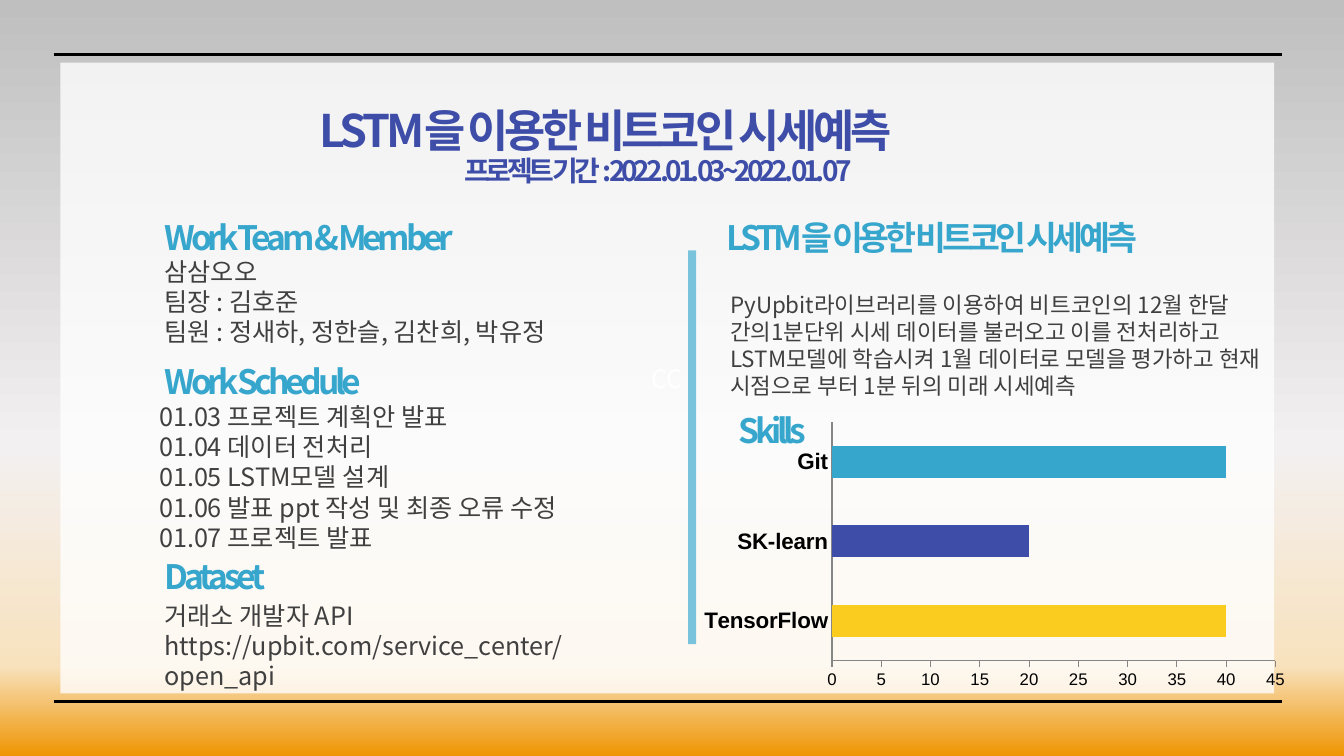
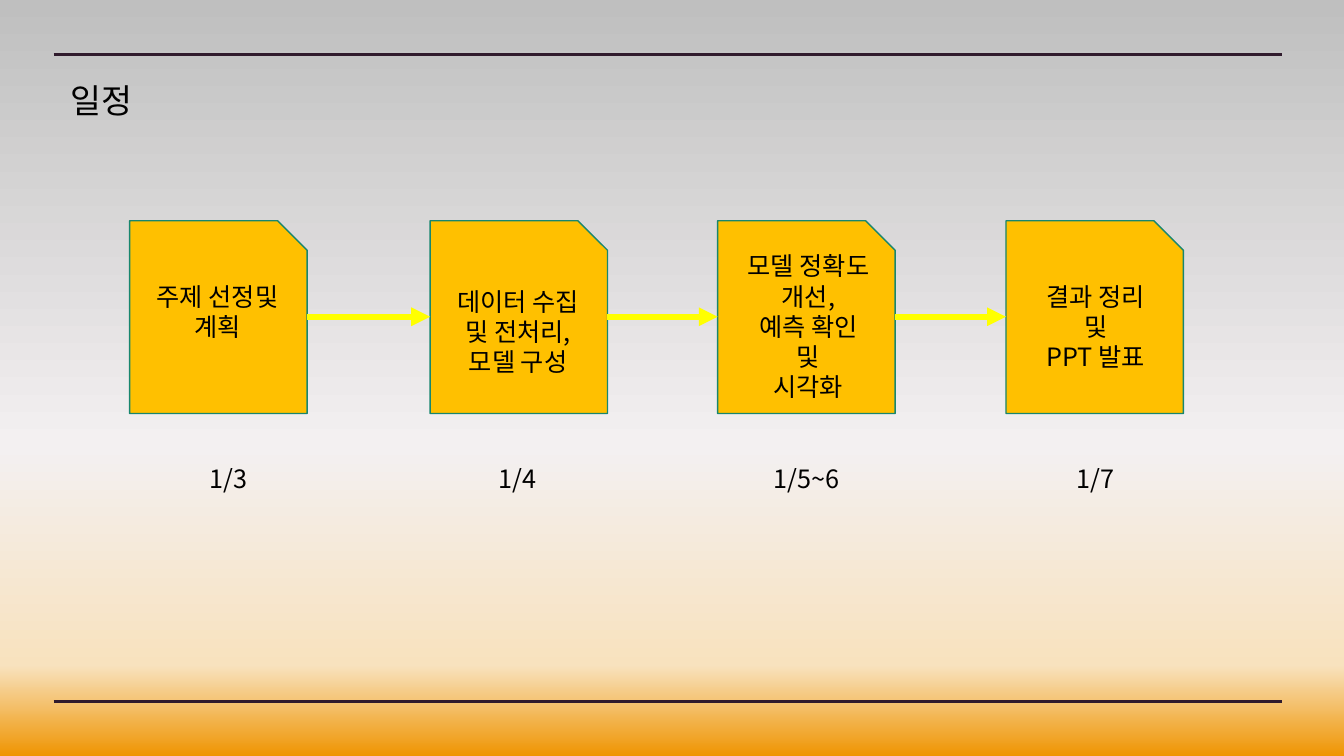
from lxml.etree import SubElement
from pptx import Presentation
from pptx.chart.data import CategoryChartData
from pptx.dml.color import RGBColor
from pptx.enum.chart import XL_CHART_TYPE as ChartType, XL_TICK_MARK as Tick
from pptx.enum.shapes import MSO_CONNECTOR as Connector, MSO_SHAPE as Shape
from pptx.enum.text import MSO_ANCHOR as Anchor, MSO_AUTO_SIZE as AutoSize, PP_ALIGN as Align
from pptx.oxml.ns import qn
from pptx.util import Inches, Pt

BLACK = RGBColor(0x00, 0x00, 0x00)
WHITE = RGBColor(0xFF, 0xFF, 0xFF)
PLUM = RGBColor(0x30, 0x1B, 0x2D)
GREY = RGBColor(0x40, 0x40, 0x40)
AXIS_GREY = RGBColor(0x86, 0x86, 0x86)
INDIGO = RGBColor(0x3D, 0x4D, 0xA8)
SKY = RGBColor(0x37, 0xA6, 0xCD)
PALE_SKY = RGBColor(0x79, 0xC3, 0xDD)
GOLD = RGBColor(0xF9, 0xCC, 0x1F)
AMBER = RGBColor(0xFF, 0xC0, 0x00)
YELLOW = RGBColor(0xFF, 0xFF, 0x00)
TEAL = RGBColor(0x18, 0x86, 0x6E)
BACKDROP = [(0, "BFBFBF"), (59, "F3F0F1"), (88, "F8E2BE"), (100, "EF9503")]

KOREAN = "Noto Sans CJK KR"
LINE_PITCH = 1.2
TRACKING = -300


class Designer:
    """Holds the style and the current page; lengths are percent of the slide."""

    def __init__(self):
        self.deck = Presentation()
        self.deck.slide_width = Inches(13.33)
        self.deck.slide_height = Inches(7.5)
        self.page = None
        self.paint_backdrop()

    def paint_backdrop(self):
        master = self.deck.slide_master
        fill = master.background.fill
        fill.gradient()
        fill.gradient_angle = 270
        stops = next(master.element.iter(qn("a:gsLst")))
        for stop in list(stops):
            stops.remove(stop)
        for position, color in BACKDROP:
            stop = SubElement(stops, qn("a:gs"), pos=str(position * 1000))
            SubElement(stop, qn("a:srgbClr"), val=color)

    def area(self, left, top, width, height):
        across, down = self.deck.slide_width / 100, self.deck.slide_height / 100
        return [round(size) for size in
                (left * across, top * down, width * across, height * down)]

    def add_page(self, rule_color):
        self.page = self.deck.slides.add_slide(self.deck.slide_layouts[5])
        for height in (7.2, 92.8):
            self.line(4, 95.4, height, rule_color, 2.25)

    # Text
    def fill_text(self, box, text, size, color, bold=False, align=Align.LEFT,
                  font=KOREAN):
        frame = box.text_frame
        frame.text = text
        frame.word_wrap = True
        frame.auto_size = AutoSize.NONE
        frame.vertical_anchor = Anchor.TOP
        for para in frame.paragraphs:
            para.alignment = align
            para.line_spacing = Pt(size * LINE_PITCH)
            for span in para.runs:
                span.font.size = Pt(size)
                span.font.bold = bold
                span.font.name = font
                span.font.color.rgb = color
        for props in box.element.iter(qn("a:rPr")):
            SubElement(props, qn("a:ea"), typeface=KOREAN)
            if bold:
                props.set("spc", str(TRACKING))

    def title(self, area, text, size, color, **style):
        box = self.page.shapes.title
        box.left, box.top, box.width, box.height = self.area(*area)
        self.page.shapes.element.append(box.element)  # bring to front
        self.fill_text(box, text, size, color, **style)

    def text(self, area, text, size=18, color=GREY, **style):
        box = self.page.shapes.add_textbox(*self.area(*area))
        self.fill_text(box, text, size, color, **style)

    def heading(self, left, top, text):
        self.text((left, top, 36.3, 6.7), text, 24, SKY, bold=True)

    # Shapes and lines
    def shape(self, kind, area, color, border=None):
        shape = self.page.shapes.add_shape(kind, *self.area(*area))
        shape.shadow.inherit = False
        shape.fill.solid()
        shape.fill.fore_color.rgb = color
        if border is None:
            shape.line.fill.background()
        else:
            shape.line.color.rgb = border
            shape.line.width = Pt(1)
        return shape

    def panel(self, area, opacity, text):
        panel = self.shape(Shape.RECTANGLE, area, WHITE)
        color = next(panel.element.spPr.iter(qn("a:srgbClr")))
        SubElement(color, qn("a:alpha"), val=str(opacity * 1000))
        self.fill_text(panel, text, 18, WHITE, align=Align.CENTER)
        panel.text_frame.vertical_anchor = Anchor.MIDDLE

    def line(self, start, end, height, color, weight, arrow=False):
        left, top, right, bottom = self.area(start, height, end, height)
        line = self.page.shapes.add_connector(Connector.STRAIGHT, left, top, right, bottom)
        line.line.color.rgb = color
        line.line.width = Pt(weight)
        props = line.element.spPr
        if arrow:
            SubElement(props.find(qn("a:ln")), qn("a:tailEnd"), type="triangle")
        SubElement(props, qn("a:effectLst"))

    # Chart
    def bar_chart(self, area, values, colors):
        data = CategoryChartData()
        data.categories = list(values)
        data.add_series("Series 1", list(values.values()))
        chart = self.page.shapes.add_chart(
            ChartType.BAR_CLUSTERED, *self.area(*area), data).chart
        chart.has_legend = False
        chart.has_title = False
        chart.font.name = "Arial"
        chart.font.size = Pt(12)
        chart.font.color.rgb = BLACK
        plot = chart.plots[0]
        plot.gap_width = 150
        plot.vary_by_categories = False
        for index, color in enumerate(colors):
            fill = plot.series[0].points[index].format.fill
            fill.solid()
            fill.fore_color.rgb = color
        names, scale = chart.category_axis, chart.value_axis
        names.major_tick_mark = Tick.NONE
        names.tick_labels.font.size = Pt(16)
        names.tick_labels.font.bold = True
        names.tick_labels.font.name = "Arial"
        names.tick_labels.font.color.rgb = BLACK
        scale.major_tick_mark = Tick.OUTSIDE
        scale.has_major_gridlines = False
        scale.minimum_scale, scale.maximum_scale, scale.major_unit = 0, 45, 5
        for axis in (names, scale):
            axis.format.line.color.rgb = AXIS_GREY


def build_overview(design):
    design.add_page(BLACK)
    design.panel((4.5, 8.27, 90.3, 83.47), 78, "CC")
    design.title((10.95, 12.93, 68.2, 8.5), "LSTM을 이용한 비트코인 시세예측",
                 32, INDIGO, bold=True, align=Align.CENTER)
    design.text((23.25, 19.7, 51.4, 5.9),
                "프로젝트 기간 : 2022 .01. 03~2022. 01. 07",
                20, INDIGO, bold=True, align=Align.CENTER)
    design.shape(Shape.RECTANGLE, (51.2, 33.1, 0.6, 52.1), PALE_SKY)

    # Left column
    design.heading(11.5, 28.1, "Work Team & Member")
    design.text((11.5, 33.2, 41.5, 13),
                "삼삼오오\n팀장 : 김호준\n팀원 : 정새하, 정한슬, 김찬희, 박유정")
    design.heading(11.5, 47.1, "Work Schedule")
    design.text((11.1, 52.4, 41.5, 21.6),
                "01.03 프로젝트 계획안 발표\n"
                "01.04 데이터 전처리\n"
                "01.05 LSTM모델 설계\n"
                "01.06 발표 ppt 작성 및 최종 오류 수정\n"
                "01.07 프로젝트 발표")
    design.heading(11.5, 72.9, "Dataset")
    design.text((11.5, 78.7, 35.2, 13.5),
                "거래소 개발자 API\nhttps://upbit.com/service_center/open_api")

    # Right column
    design.heading(53.3, 28, "LSTM을 이용한 비트코인 시세예측")
    design.text((53.6, 37.9, 41.55, 15.7),
                "PyUpbit라이브러리를 이용하여 비트코인의 12월 한달 간의1분단위 "
                "시세 데이터를 불러오고 이를 전처리하고\n"
                "LSTM모델에 학습시켜 1월 데이터로 모델을 평가하고 "
                "현재 시점으로 부터 1분 뒤의 미래 시세예측", 16)
    design.heading(54.2, 53.5, "Skills")
    design.bar_chart((51.5, 55.1, 45, 36.7),
                     {"TensorFlow": 40, "SK-learn": 20, "Git": 40},
                     (GOLD, INDIGO, SKY))


def build_schedule(design):
    design.add_page(PLUM)
    design.title((4.5, 9.9, 23.9, 6.7), "일정", 24, BLACK, font="Arial Narrow")

    # Card left, text left, text top, text width, text, date
    steps = [
        (9.65, 10.85, 36.5, 10.65, "주제 선정및\n계획", "1/3"),
        (32, 32.55, 37.2, 12, "데이터 수집 및 전처리,\n모델 구성", "1/4"),
        (53.4, 54, 32.5, 12.3, "모델 정확도 개선,\n예측 확인\n및\n시각화", "1/5~6"),
        (74.85, 76.2, 36.5, 10.65, "결과 정리\n및\nPPT 발표", "1/7"),
    ]
    card_width = 13.2
    for index, (left, text_left, top, width, text, date) in enumerate(steps):
        design.shape(Shape.SNIP_1_RECTANGLE, (left, 29.2, card_width, 25.5),
                     AMBER, TEAL)
        design.text((text_left, top, width, 21.6), text,
                    color=BLACK, align=Align.CENTER)
        design.text((11.7 + 21.5 * index, 60.7, 10.65, 5.3), date,
                    color=BLACK, align=Align.CENTER)

    # Arrows between neighbouring cards
    for step, following in zip(steps, steps[1:]):
        design.line(step[0] + card_width, following[0], 41.9, YELLOW, 4.5, arrow=True)


def main():
    design = Designer()
    build_overview(design)
    build_schedule(design)
    design.deck.save("out.pptx")


if __name__ == "__main__":
    main()
